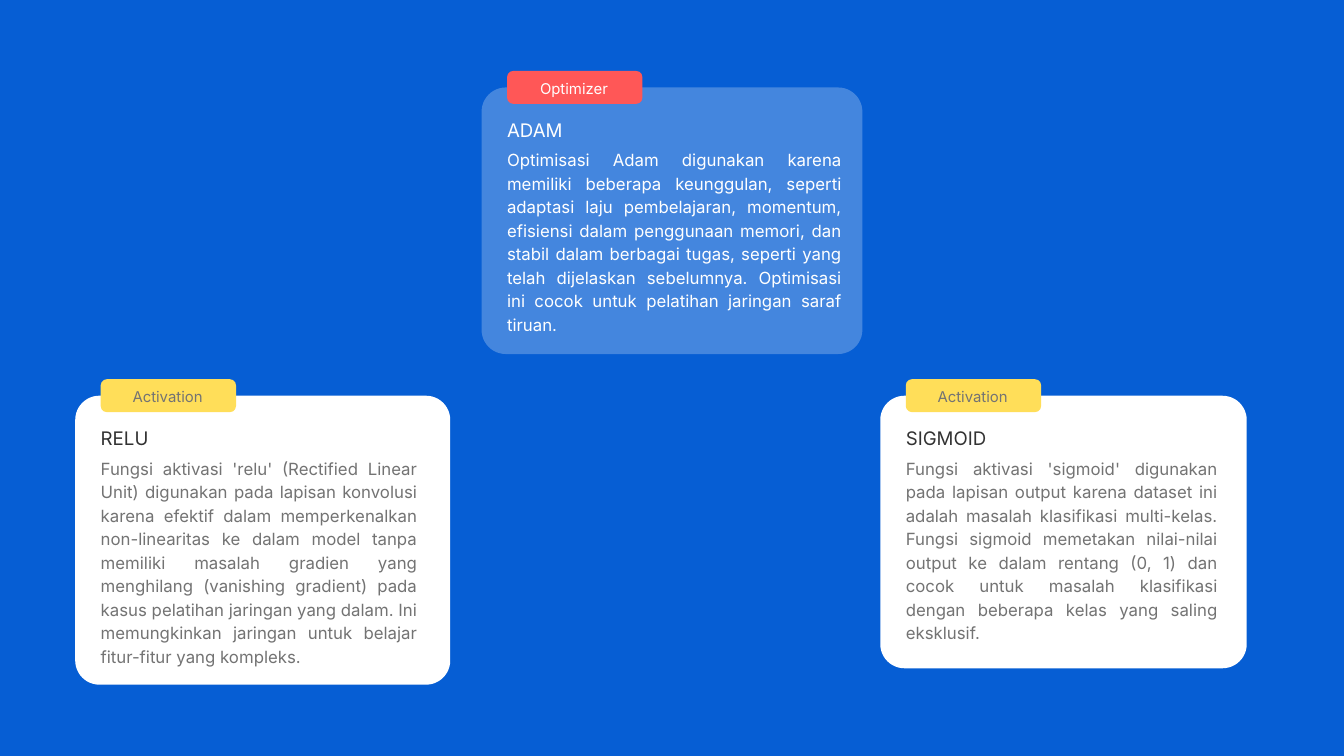
from lxml import etree
from pptx import Presentation
from pptx.dml.color import RGBColor
from pptx.enum import shapes, text
from pptx.oxml import ns
from pptx.util import Pt

COLORS = {
    "blue": "065ED4", "white": "FFFFFF", "yellow": "FFDE59",
    "red": "FF5757", "gray": "737373", "dark": "323232",
}

CARDS = [
    dict(left=80.6, top=424, width=401.8, height=309.6, body_width=339.1,
         tag="Activation", title="RELU",
         body="Fungsi aktivasi 'relu' (Rectified Linear Unit) digunakan pada lapisan "
              "konvolusi karena efektif dalam memperkenalkan non-linearitas ke dalam "
              "model tanpa memiliki masalah gradien yang menghilang (vanishing gradient) "
              "pada kasus pelatihan jaringan yang dalam. Ini memungkinkan jaringan untuk "
              "belajar fitur-fitur yang kompleks."),
    dict(left=516, top=93.7, width=408, height=285.6, body_width=358.4,
         tag="Optimizer", title="ADAM",
         body="Optimisasi Adam digunakan karena memiliki beberapa keunggulan, seperti "
              "adaptasi laju pembelajaran, momentum, efisiensi dalam penggunaan memori, "
              "dan stabil dalam berbagai tugas, seperti yang telah dijelaskan sebelumnya. "
              "Optimisasi ini cocok untuk pelatihan jaringan saraf tiruan.",
         opacity=25, tag_fill="red", tag_color="white", title_color="white",
         body_color="white"),
    dict(left=943.2, top=424, width=392.6, height=292, body_width=334,
         tag="Activation", title="SIGMOID",
         body="Fungsi aktivasi 'sigmoid' digunakan pada lapisan output karena dataset ini "
              "adalah masalah klasifikasi multi-kelas. Fungsi sigmoid memetakan "
              "nilai-nilai output ke dalam rentang (0, 1) dan cocok untuk masalah "
              "klasifikasi dengan beberapa kelas yang saling eksklusif."),
]


class CardSlide:
    """Draws tagged text cards on one slide in a shared style."""

    font = "Inter"
    leading = 1.4
    indent = 27.3

    def __init__(self, slide):
        self.slide = slide

    def background(self, color):
        fill = self.slide.background.fill
        fill.solid()
        fill.fore_color.rgb = RGBColor.from_string(COLORS[color])

    def panel(self, left, top, width, height, radius, color, opacity=100):
        panel = self.slide.shapes.add_shape(
            shapes.MSO_SHAPE.ROUNDED_RECTANGLE,
            Pt(left), Pt(top), Pt(width), Pt(height))
        panel.adjustments[0] = radius / min(width, height)
        panel.shadow.inherit = False
        panel.line.fill.background()
        panel.fill.solid()
        panel.fill.fore_color.rgb = RGBColor.from_string(COLORS[color])
        if opacity < 100:
            tint = panel.fill._xPr.find(".//" + ns.qn("a:srgbClr"))
            etree.SubElement(tint, ns.qn("a:alpha"), val=str(opacity * 1000))

    def label(self, left, top, width, height, words, size, color, align):
        box = self.slide.shapes.add_textbox(Pt(left), Pt(top), Pt(width), Pt(height))
        frame = box.text_frame
        frame.margin_left = frame.margin_right = 0
        frame.margin_top = frame.margin_bottom = 0
        frame.word_wrap = True
        frame.text = words
        paragraph = frame.paragraphs[0]
        paragraph.alignment = align
        paragraph.line_spacing = Pt(size * self.leading)
        font = paragraph.runs[0].font
        font.name, font.size = self.font, Pt(size)
        font.color.rgb = RGBColor.from_string(COLORS[color])

    def card(self, left, top, width, height, body_width, tag, title, body,
             opacity=100, tag_fill="yellow", tag_color="gray",
             title_color="dark", body_color="gray"):
        inner = left + self.indent
        align = text.PP_ALIGN
        self.panel(left, top, width, height, 25.9, "white", opacity)
        self.panel(inner, top - 17.7, 145, 35.3, 6.6, tag_fill)
        self.label(inner, top + 63.4, body_width, height - 89, body, 18,
                   body_color, align.JUSTIFY)
        self.label(inner, top + 29.2, 243.4, 26.6, title, 20, title_color, align.LEFT)
        self.label(inner + 17.3, top - 11.5, 108.7, 20.9, tag, 16, tag_color,
                   align.CENTER)


def main():
    deck = Presentation()
    deck.slide_width, deck.slide_height = Pt(1440), Pt(810)
    page = CardSlide(deck.slides.add_slide(deck.slide_layouts[6]))
    page.background("blue")
    for card in CARDS:
        page.card(**card)
    deck.save("out.pptx")


if __name__ == "__main__":
    main()
